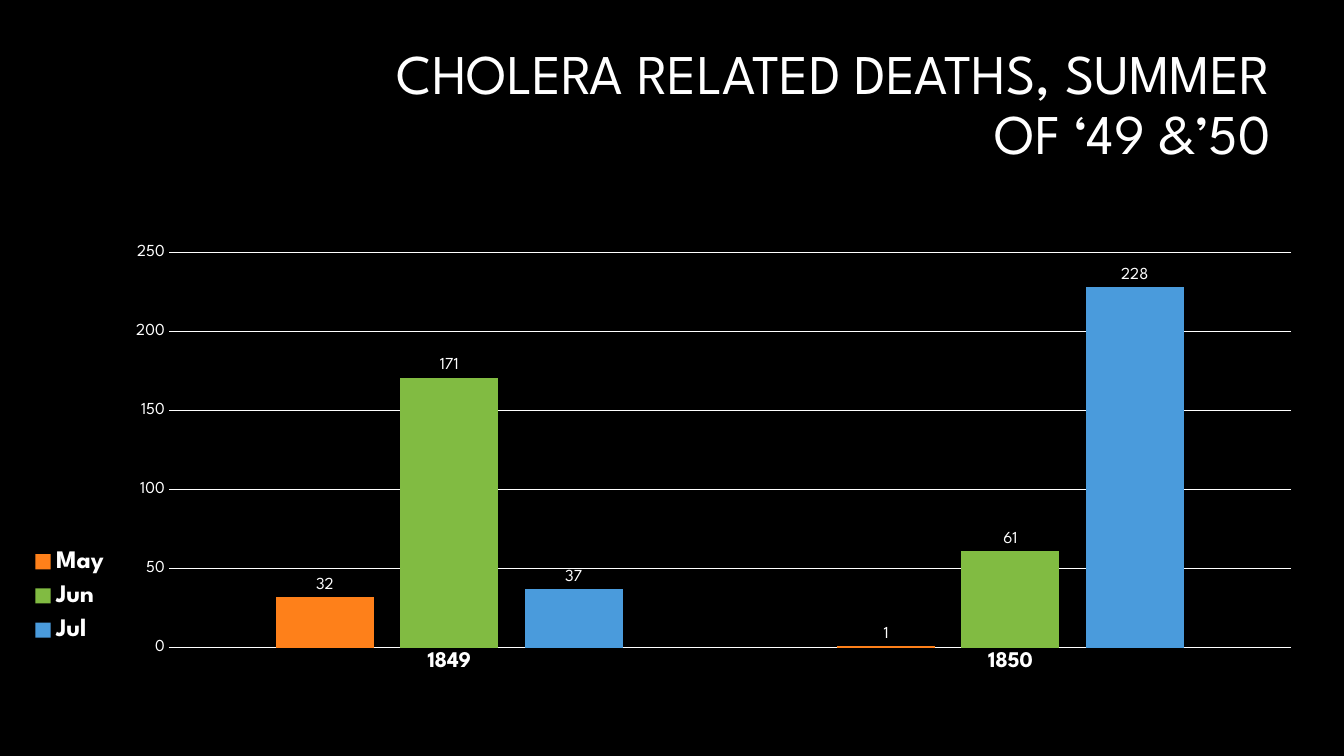
from dataclasses import dataclass

import pptx
import pptx.chart.data
import pptx.dml.color
import pptx.enum.chart
import pptx.enum.text
import pptx.oxml
import pptx.oxml.ns
import pptx.util

Inches = pptx.util.Inches
FONT = "League Spartan"
COLORS = {
    "black": "000000",
    "white": "FFFFFF",
    "orange": "FE801A",
    "green": "81BB42",
    "blue": "4A9BDC",
}


@dataclass(frozen=True)
class Month:
    name: str
    deaths: tuple[int, ...]
    color: str


YEARS = ("1849", "1850")
MONTHS = (
    Month("May", (32, 1), "orange"),
    Month("Jun", (171, 61), "green"),
    Month("Jul", (37, 228), "blue"),
)


def rgb(name: str) -> pptx.dml.color.RGBColor:
    return pptx.dml.color.RGBColor.from_string(COLORS[name])


def set_attrs(target, values: dict) -> None:
    for name, value in values.items():
        setattr(target, name, value)


def style_font(font, size: int, bold: bool = False) -> None:
    set_attrs(font, {"name": FONT, "size": pptx.util.Pt(size), "bold": bold})
    font.color.rgb = rgb("white")


def style_line(line) -> None:
    line.color.rgb = rgb("white")
    line.width = pptx.util.Pt(0.75)


def set_layout(parent, index: int, box: tuple[float, ...], inner: bool = False) -> None:
    """Place a chart part by fractions (x, y, w, h) of the chart frame."""
    for old in parent.findall(pptx.oxml.ns.qn("c:layout")):
        parent.remove(old)
    target = '<c:layoutTarget val="inner"/>' if inner else ""
    modes = "".join(f'<c:{k}Mode val="edge"/>' for k in "xy")
    sizes = "".join(f'<c:{k} val="{v}"/>' for k, v in zip("xywh", box))
    parent.insert(index, pptx.oxml.parse_xml(
        f'<c:layout {pptx.oxml.ns.nsdecls("c")}><c:manualLayout>'
        f"{target}{modes}{sizes}</c:manualLayout></c:layout>"))


def add_title(s, text: str) -> None:
    tf = s.shapes.add_textbox(
        Inches(3.28), Inches(0.35), Inches(9.42), Inches(1.41)).text_frame
    set_attrs(tf, {"word_wrap": True,
                   "vertical_anchor": pptx.enum.text.MSO_ANCHOR.MIDDLE})
    p = tf.paragraphs[0]
    set_attrs(p, {"alignment": pptx.enum.text.PP_ALIGN.RIGHT, "line_spacing": 0.9})
    r = p.add_run()
    r.text = text
    style_font(r.font, 40)


def add_deaths_chart(s) -> None:
    data = pptx.chart.data.CategoryChartData()
    data.categories = YEARS
    for month in MONTHS:
        data.add_series(month.name, month.deaths)
    chart = s.shapes.add_chart(
        pptx.enum.chart.XL_CHART_TYPE.COLUMN_CLUSTERED,
        Inches(-0.29), Inches(1.87), Inches(13.1), Inches(4.9), data).chart
    set_attrs(chart, {"has_title": False, "has_legend": True})
    style_font(chart.font, 10)

    plot = chart.plots[0]
    set_attrs(plot, {"gap_width": 219, "overlap": -27, "vary_by_categories": False})
    for month, series in zip(MONTHS, plot.series):
        series.format.fill.solid()
        series.format.fill.fore_color.rgb = rgb(month.color)
        labels = series.data_labels
        set_attrs(labels, {
            "show_value": True,
            "position": pptx.enum.chart.XL_LABEL_POSITION.OUTSIDE_END})
        style_font(labels.font, 12)

    years, deaths = chart.category_axis, chart.value_axis
    no_tick = pptx.enum.chart.XL_TICK_MARK.NONE
    for axis in (years, deaths):
        set_attrs(axis, {"major_tick_mark": no_tick, "minor_tick_mark": no_tick})
    style_font(years.tick_labels.font, 16, bold=True)
    style_line(years.format.line)
    style_font(deaths.tick_labels.font, 12)
    deaths.format.line.fill.background()
    set_attrs(deaths, {"minimum_scale": 0, "maximum_scale": 250, "major_unit": 50,
                       "has_major_gridlines": True})
    style_line(deaths.major_gridlines.format.line)

    legend = chart.legend
    set_attrs(legend, {"position": pptx.enum.chart.XL_LEGEND_POSITION.RIGHT,
                       "include_in_layout": False})
    style_font(legend.font, 18, bold=True)
    plot_area, = chart.element.xpath("c:chart/c:plotArea")
    legend_box, = chart.element.xpath("c:chart/c:legend")
    set_layout(plot_area, 0, (0.15, 0.13, 0.85, 0.8), inner=True)
    set_layout(legend_box, 1, (0.04, 0.71, 0.07, 0.23))


def main() -> None:
    prs = pptx.Presentation()
    set_attrs(prs, {"slide_width": Inches(13.33), "slide_height": Inches(7.5)})
    s = prs.slides.add_slide(prs.slide_layouts[6])
    s.background.fill.solid()
    s.background.fill.fore_color.rgb = rgb("black")
    add_title(s, "CHOLERA RELATED DEATHS, SUMMER OF ‘49 &’50")
    add_deaths_chart(s)
    prs.save("out.pptx")


if __name__ == "__main__":
    main()
